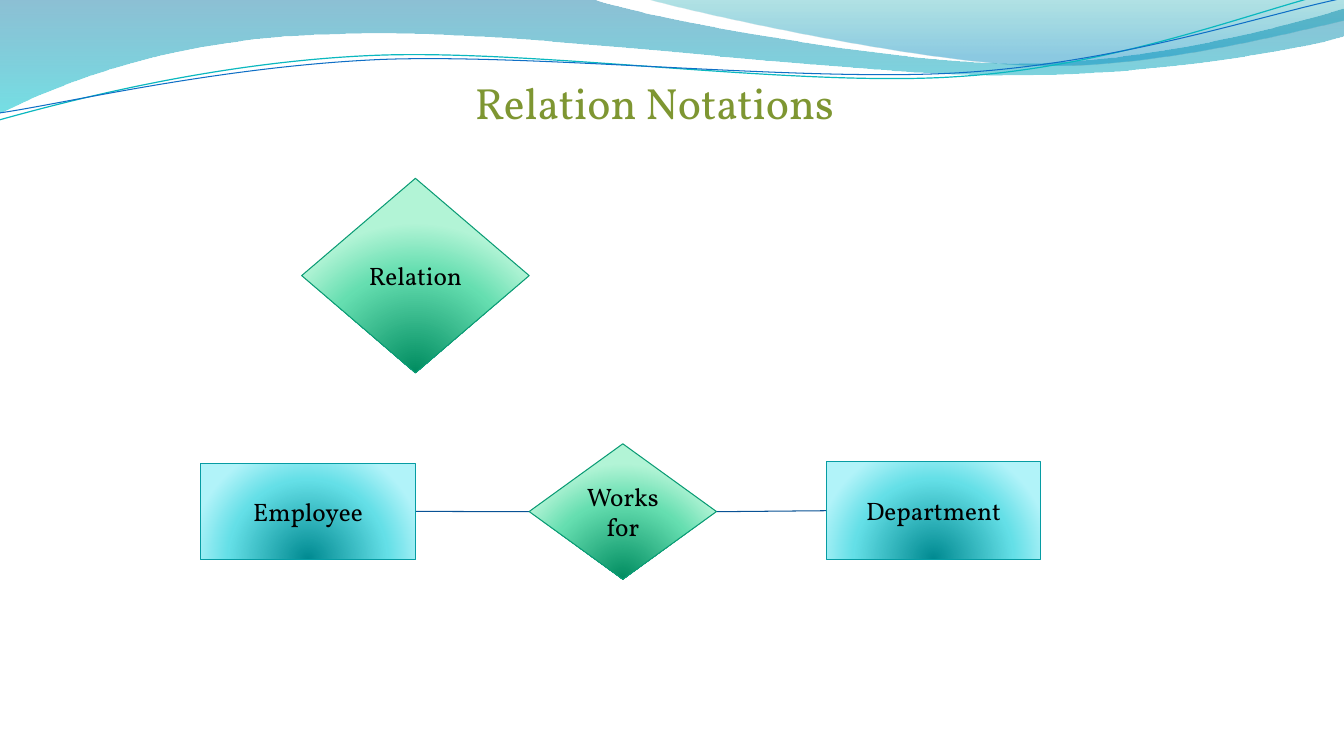
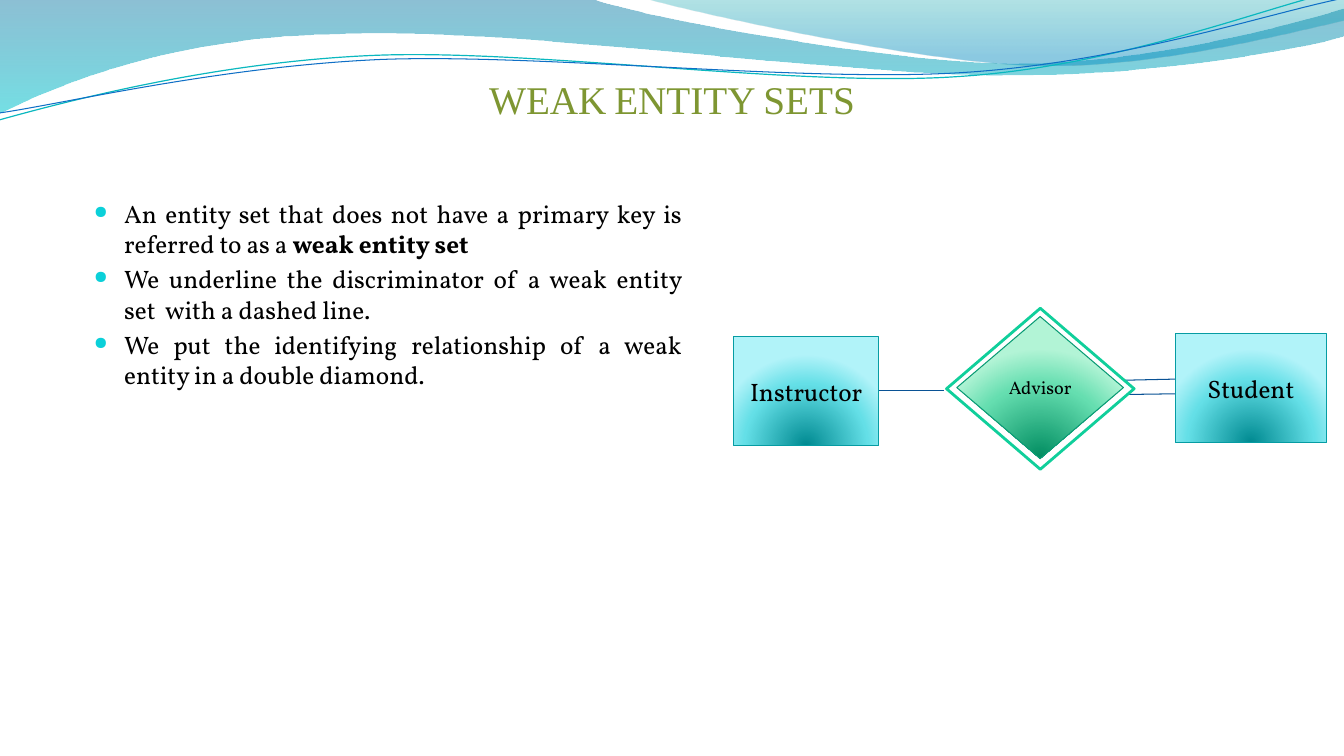
from pptx import Presentation
from pptx.dml.color import RGBColor
from pptx.enum.shapes import MSO_CONNECTOR, MSO_SHAPE as Shape
from pptx.enum.text import MSO_ANCHOR as Anchor, PP_ALIGN as Align
from pptx.oxml import parse_xml
from pptx.oxml.ns import nsdecls, qn
from pptx.oxml.xmlchemy import OxmlElement
from pptx.util import Pt

colour = RGBColor.from_string
OLIVE, INK, NAVY = "7E9632", "000000", "095295"
DOWN = '<a:lin ang="5400000" scaled="0"/>'
GLOW = '<a:path path="circle"><a:fillToRect l="50000" t="130000" r="50000" b="-30000"/></a:path>'
ENTITY = (Shape.RECTANGLE, [(0, "008A91", 100), (68, "64DFE7", 100), (100, "B1F3F9", 100)], "069CA3", 0.75)
RELATION = (Shape.DIAMOND, [(0, "008C60", 100), (68, "65DEB0", 100), (100, "B2F4D6", 100)], "0A9B74", 0.75)
FRAME = (Shape.DIAMOND, "FFFFFF", "10CF9B", 2)


def paint(item, fill=None, line=None, width=0.75, direction=GLOW):
    props = item.element.spPr
    if isinstance(fill, str):
        item.fill.solid()
        item.fill.fore_color.rgb = colour(fill)
    elif fill:
        item.fill.background()
        stops = "".join(
            f'<a:gs pos="{place * 1000}"><a:srgbClr val="{tone}"><a:alpha val="{opacity * 1000}"/></a:srgbClr></a:gs>'
            for place, tone, opacity in fill)
        gradient = f'<a:gradFill {nsdecls("a")} rotWithShape="1"><a:gsLst>{stops}</a:gsLst>{direction}</a:gradFill>'
        props.replace(props.find(qn("a:noFill")), parse_xml(gradient))
    if line:
        item.line.color.rgb = colour(line)
        item.line.width = Pt(width)
    else:
        item.line.fill.background()
    props.append(OxmlElement("a:effectLst"))


def write(box, text, size=18, font="Vollkorn", tone=INK, align=Align.CENTER,
          anchor=Anchor.MIDDLE, spacing=None, bullet=None, caps=None):
    frame = box.text_frame
    frame.word_wrap = True
    frame.vertical_anchor = anchor
    for index, line in enumerate(text.split("\n")):
        para = frame.add_paragraph() if index else frame.paragraphs[0]
        para.alignment = align
        para.line_spacing = spacing
        if bullet:
            para.space_before = Pt(size * 0.2)
            props = para._p.get_or_add_pPr()
            props.set("marL", str(Pt(21.6)))
            props.set("indent", str(-Pt(21.6)))
            for mark in (f'<a:buClr {nsdecls("a")}><a:srgbClr val="{bullet}"/></a:buClr>',
                         f'<a:buSzPct {nsdecls("a")} val="70000"/>',
                         f'<a:buChar {nsdecls("a")} char="●"/>'):
                props.append(parse_xml(mark))
        for part, words in enumerate(line.split("**")):
            if words:
                span = para.add_run()
                span.text = words
                span.font.name = font
                span.font.size = Pt(size)
                span.font.bold = part % 2 == 1
                span.font.color.rgb = colour(tone)
                if caps:
                    span.font._element.set("cap", caps)


deck = Presentation()
deck.slide_width, deck.slide_height = Pt(960), Pt(540)
blank = deck.slide_layouts[6]
for placeholder in list(blank.placeholders):
    placeholder.element.getparent().remove(placeholder.element)
notation_page, weak_page = [deck.slides.add_slide(blank) for _ in range(2)]

waves = [
    ([(0, 0), (422.6, -0.7),
      (456.5, 12.2, 637.2, 45.4, 727.9, 45.4), (819.4, 45.4, 920.2, 18.7, 959.8, 6.5),
      (961.2, 25.9),
      (944, 31.7, 835.2, 54.7, 715.7, 54), (596.9, 54, 366.5, 20.2, 247, 24.5),
      (123.8, 25.9, 43.9, 59.8, -0.7, 81.4), (0, 0)],
     0, dict(fill=[(0, "0074A1", 45), (100, "00C6CF", 55)], direction=DOWN)),
    ([(460.1, -0.7),
      (488.9, 7.9, 654.5, 44.6, 738, 46.8), (821.5, 49.7, 923, 23, 959.8, 15.1),
      (959.8, 0), (460.1, -0.7)],
     0, dict(fill=[(0, "00A1A9", 30), (80, "008BBF", 45)], direction=DOWN)),
    ([(-2.2, 63.1),
      (45.4, 52.3, 151.9, 29.2, 265.7, 29.6), (380.2, 29.9, 567.7, 66.9, 683.1, 64.4),
      (798.5, 62.6, 902.7, 25.7, 960.1, 15.5)],
     357.3, dict(line="0AB8BF", width=0.85)),
    ([(-1.4, 58),
      (44.4, 53.6, 157, 32.3, 272.4, 32.7), (386.9, 33.8, 572.3, 63.4, 687, 61.6),
      (802.4, 59.8, 904.7, 30, 962, 21.2)],
     357.3, dict(line="0F6FC6")),
]
for (start, *steps), turn, look in waves:
    builder = notation_page.shapes.build_freeform(*map(Pt, start))
    for step in steps:
        lengths = [Pt(value) for value in step]
        builder.add_line_segments(list(zip(lengths[::2], lengths[1::2])), close=False)
    wave = builder.convert_to_shape()
    outline = wave.element.find(".//" + qn("a:path"))
    corners = iter(outline.findall(qn("a:lnTo")))
    for step in steps:
        corner = next(corners)
        if len(step) == 6:
            curve = OxmlElement("a:cubicBezTo")
            outline.replace(corner, curve)
            for knot in (corner, next(corners), next(corners)):
                curve.append(knot.find(qn("a:pt")))
                if knot is not corner:
                    outline.remove(knot)
    if "fill" in look:
        outline.append(OxmlElement("a:close"))
    wave.rotation = turn
    wave.fill.background()
    paint(wave, **look)
    blank.shapes.element.append(wave.element)

title = notation_page.shapes.add_textbox(Pt(69), Pt(52), Pt(797), Pt(44))
write(title, "Relation Notations", size=31.2, tone=OLIVE, anchor=Anchor.BOTTOM, spacing=0.9)
title = weak_page.shapes.add_textbox(Pt(48), Pt(-2.5), Pt(864), Pt(90))
write(title, "WEAK ENTITY SETS", size=28, font="Times New Roman", tone=OLIVE,
      anchor=Anchor.BOTTOM, caps="small")
title.text_frame.margin_left = title.text_frame.margin_right = title.text_frame.margin_bottom = 0

body = weak_page.shapes.add_textbox(Pt(60), Pt(138), Pt(434.2), Pt(332.6))
write(body, "An entity set that does not have a primary key is referred to as a **weak entity set**\n"
            "We underline the discriminator of a weak entity set  with a dashed line.\n"
            "We put the identifying relationship of a weak entity in a double diamond.",
      align=Align.JUSTIFY, anchor=Anchor.TOP, bullet="0BD0D9")

links = [
    (notation_page, 296.6, 365.3, 378, 365.5),
    (notation_page, 512, 365.5, 590.4, 364.8),
    (weak_page, 627.8, 279, 674.6, 279),
    (weak_page, 803, 281.8, 839.5, 281.3),
    (weak_page, 803, 271.6, 839.5, 270.8),
]
for page, *ends in links:
    link = page.shapes.add_connector(MSO_CONNECTOR.STRAIGHT, *map(Pt, ends))
    paint(link, line=NAVY)

nodes = [
    (notation_page, ENTITY, "Employee", 18, 143.3, 331.2, 153.4, 68.4),
    (notation_page, ENTITY, "Department", 18, 590.2, 329.7, 153.2, 69.8),
    (notation_page, RELATION, "Relation", 18, 215.5, 127.4, 162.5, 139),
    (notation_page, RELATION, "Works for", 18, 378, 317, 133.8, 96.8),
    (weak_page, ENTITY, "Instructor", 18, 524, 240.5, 103.7, 77.8),
    (weak_page, FRAME, "", 18, 676.1, 220.2, 134, 115),
    (weak_page, RELATION, "Advisor", 13, 683.5, 226.1, 119, 101.5),
    (weak_page, ENTITY, "Student", 18, 839.5, 238.3, 108, 77.8),
]
for page, (kind, fill, line, width), label, size, *place in nodes:
    node = page.shapes.add_shape(kind, *map(Pt, place))
    paint(node, fill, line, width)
    write(node, label, size=size)

deck.save("out.pptx")
